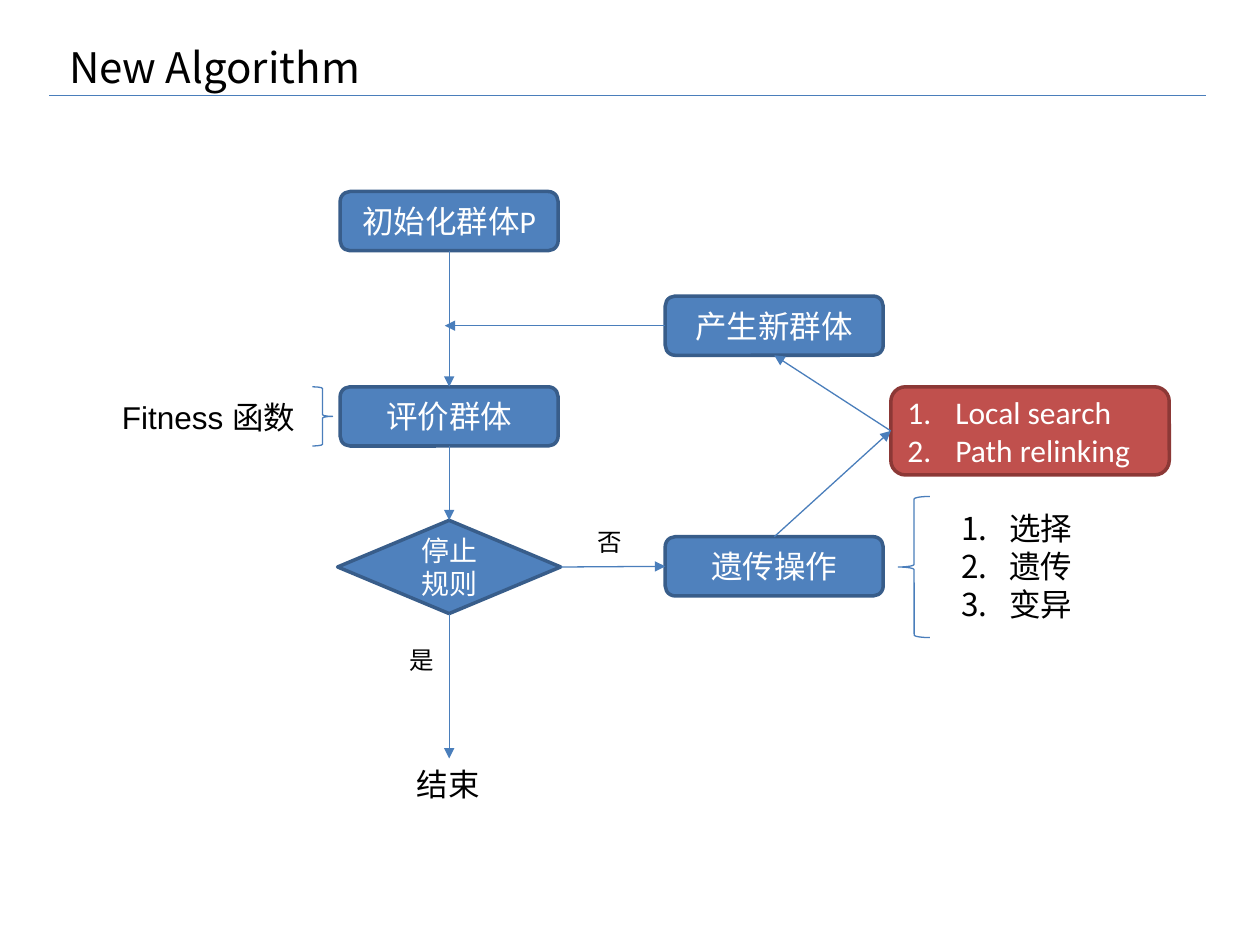
from lxml import etree
from pptx import Presentation
from pptx import util as u
from pptx.dml.color import RGBColor
from pptx.enum import shapes, text
from pptx.oxml import ns

BLUE, BLUE_EDGE = "4F81BD", "385D8A"
RED, RED_EDGE = "C0504D", "8C3836"
LINE, BLACK, WHITE = "4A7EBB", "000000", "FFFFFF"
TOP, LEFT, BOTTOM, RIGHT = range(4)
NODE_SIZE = (1.73, 0.47)


def color(value):
    return RGBColor.from_string(value)


def inches(*values):
    return [u.Inches(value) for value in values]


def number_paragraph(paragraph, bullet_color):
    paragraph_format = paragraph._p.get_or_add_pPr()
    paragraph_format.set("marL", str(u.Inches(0.38)))
    paragraph_format.set("indent", str(u.Inches(-0.38)))
    bullet = etree.SubElement(paragraph_format, ns.qn("a:buClr"))
    etree.SubElement(bullet, ns.qn("a:srgbClr"), val=bullet_color)
    etree.SubElement(paragraph_format, ns.qn("a:buAutoNum"), type="arabicPeriod")


def write(frame, content, size=18, font="Arial", fill=BLACK, align="LEFT", numbered=False):
    for index, line in enumerate(content.split("\n")):
        paragraph = frame.paragraphs[0] if index == 0 else frame.add_paragraph()
        paragraph.alignment = getattr(text.PP_ALIGN, align)
        if numbered:
            number_paragraph(paragraph, fill)
        run = paragraph.add_run()
        run.text = line
        run.font.size = u.Pt(size)
        run.font.name = font
        run.font.color.rgb = color(fill)


def add_label(slide, box, content, **style):
    frame = slide.shapes.add_textbox(*inches(*box)).text_frame
    frame.word_wrap = False
    frame.auto_size = text.MSO_AUTO_SIZE.SHAPE_TO_FIT_TEXT
    write(frame, content, **style)


def add_node(slide, box, content, kind="ROUNDED_RECTANGLE", fill=BLUE, edge=BLUE_EDGE,
             align="CENTER", **style):
    shape = slide.shapes.add_shape(getattr(shapes.MSO_SHAPE, kind), *inches(*box))
    shape.shadow.inherit = False
    shape.fill.solid()
    shape.fill.fore_color.rgb = color(fill)
    shape.line.color.rgb = color(edge)
    shape.line.width = u.Pt(2)
    shape.text_frame.word_wrap = True
    shape.text_frame.vertical_anchor = text.MSO_ANCHOR.MIDDLE
    write(shape.text_frame, content, font="Calibri", fill=WHITE, align=align, **style)
    return shape


def add_brace(slide, box, kind):
    brace = slide.shapes.add_shape(getattr(shapes.MSO_SHAPE, kind), *inches(*box))
    brace.shadow.inherit = False
    brace.fill.background()
    brace.line.color.rgb = color(LINE)
    brace.line.width = u.Pt(0.75)


def add_line(slide, start=(0, 0), end=(0, 0), source=None, target=None, arrow=True):
    """Draw a line; source and target are (shape, side) pairs that replace a point."""
    line = slide.shapes.add_connector(
        shapes.MSO_CONNECTOR.STRAIGHT, *inches(*start, *end))
    if source:
        line.begin_connect(*source)
    if target:
        line.end_connect(*target)
    line.line.color.rgb = color(LINE)
    line.line.width = u.Pt(0.75)
    if arrow:
        etree.SubElement(line.line._get_or_add_ln(), ns.qn("a:tailEnd"), type="triangle")
    etree.SubElement(line._element.spPr, ns.qn("a:effectLst"))


def add_header(slide, left, top, width, height):
    add_label(slide, (left + 0.06, top, 2.54, 0.5), "New Algorithm",
              size=24, font="Noto Sans CJK SC")
    bottom = top + height
    add_line(slide, (left, bottom), (left + width, bottom), arrow=False)


def add_flowchart(slide, left, top):
    def place(x, y, width, height):
        return left + x, top + y, width, height

    start = add_node(slide, place(1.83, 0, *NODE_SIZE), "初始化群体P")
    evaluate = add_node(slide, place(1.83, 1.55, *NODE_SIZE), "评价群体")
    stop = add_node(slide, place(1.81, 2.61, 1.77, 0.74), "停止\n规则", kind="DIAMOND", size=16)
    operate = add_node(slide, place(4.41, 2.74, *NODE_SIZE), "遗传操作")
    renew = add_node(slide, place(4.41, 0.83, *NODE_SIZE), "产生新群体")
    search = add_node(slide, place(6.2, 1.55, 2.21, 0.7), "Local search\nPath relinking",
                      fill=RED, edge=RED_EDGE, align="LEFT", numbered=True)

    steps = [
        (start, BOTTOM, evaluate, TOP),
        (evaluate, BOTTOM, stop, TOP),
        (stop, RIGHT, operate, LEFT),
        (operate, TOP, search, LEFT),
        (search, LEFT, renew, BOTTOM),
    ]
    for source, source_side, target, target_side in steps:
        add_line(slide, source=(source, source_side), target=(target, target_side))
    add_line(slide, end=(left + 2.66, renew.top.inches - 0 + NODE_SIZE[1] / 2),
             source=(renew, LEFT))
    add_line(slide, end=(left + 1.83 + NODE_SIZE[0] / 2, top + 4.5), source=(stop, BOTTOM))

    add_label(slide, place(2.34, 4.5, 0.7, 0.4), "结束")
    add_label(slide, place(2.28, 3.55, 0.39, 0.34), "是", size=14)
    add_label(slide, place(3.77, 2.61, 0.39, 0.34), "否", size=14)
    add_label(slide, place(0, 1.59, 1.7, 0.4), "Fitness 函数")
    add_brace(slide, place(1.61, 1.55, 0.16, 0.47), "RIGHT_BRACE")
    add_brace(slide, place(6.26, 2.42, 0.25, 1.12), "LEFT_BRACE")
    add_label(slide, place(6.66, 2.47, 1.15, 1), "选择\n遗传\n变异", numbered=True)


def main():
    presentation = Presentation()
    presentation.slide_width, presentation.slide_height = inches(10, 7.5)
    slide = presentation.slides.add_slide(presentation.slide_layouts[6])
    add_header(slide, 0.39, 0.28, 9.18, 0.48)
    add_flowchart(slide, 0.87, 1.52)
    presentation.save("out.pptx")


if __name__ == "__main__":
    main()
